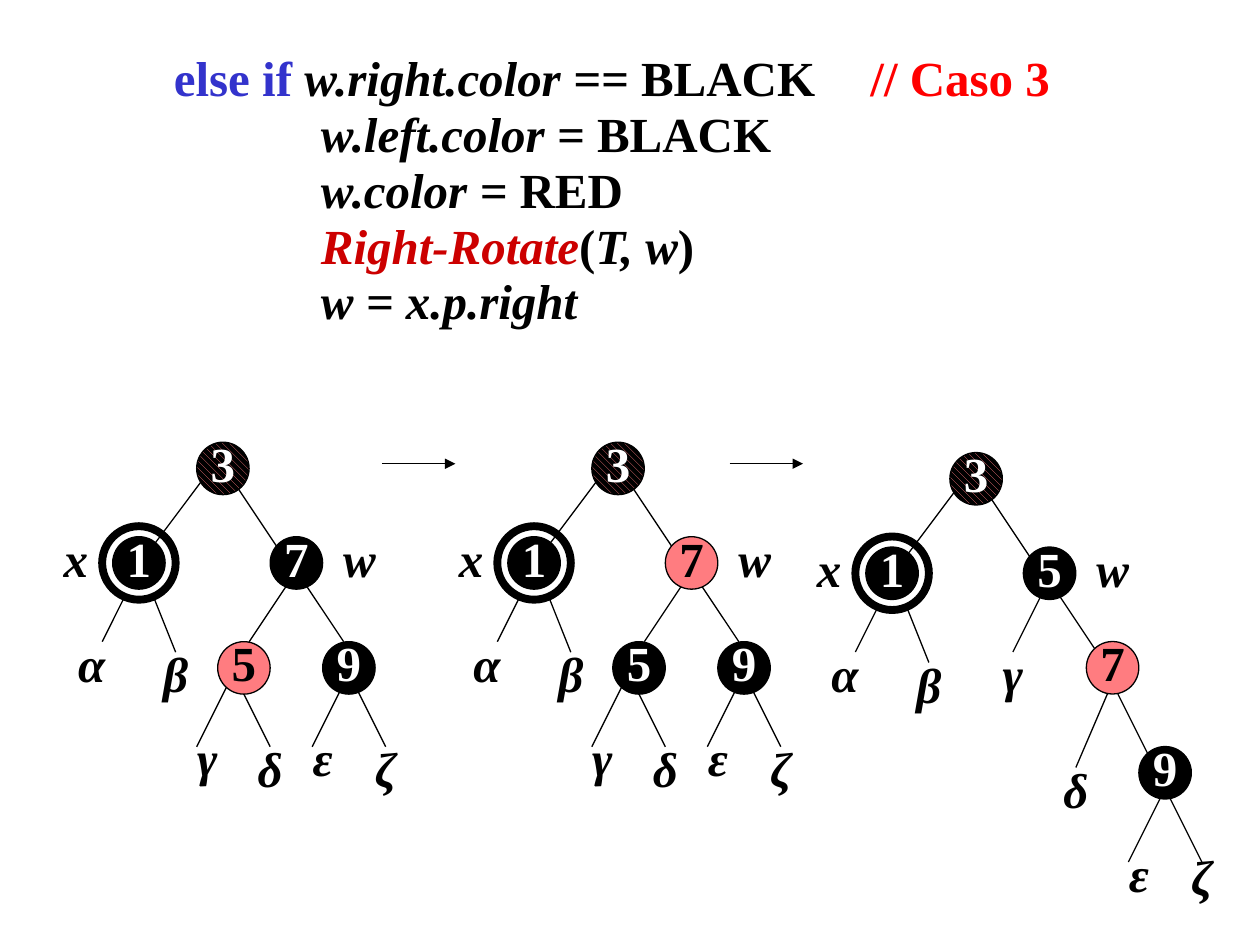
"""Build the slide on case 3 of the red-black tree deletion fix-up."""
import dataclasses

import lxml.etree
import pptx
import pptx.dml.color
import pptx.enum.dml
import pptx.enum.shapes
import pptx.enum.text
import pptx.oxml.ns
import pptx.util

Pt = pptx.util.Pt
qn = pptx.oxml.ns.qn
rgb = pptx.dml.color.RGBColor.from_string


@dataclasses.dataclass(frozen=True)
class Theme:
    font: str = "Times New Roman"
    size: float = 28
    hairline: float = 0.75
    ring_line: float = 4.5
    black: str = "000000"
    white: str = "FFFFFF"
    red_node: str = "FF7C80"
    keyword: str = "3333CC"
    comment: str = "FF0000"
    call: str = "CC0000"


class Slide:
    def __init__(self, prs, theme):
        self.theme = theme
        self.s = prs.slides.add_slide(prs.slide_layouts[6])

    def style(self, r, color, italic=False):
        r.font.name = self.theme.font
        r.font.size = Pt(self.theme.size)
        r.font.bold = True
        r.font.italic = italic
        r.font.color.rgb = rgb(color)

    def centre(self, tf, text, color, italic=False, spacing=1.0):
        tf.text = text
        tf.word_wrap = False
        tf.vertical_anchor = pptx.enum.text.MSO_ANCHOR.MIDDLE
        p = tf.paragraphs[0]
        p.alignment = pptx.enum.text.PP_ALIGN.CENTER
        p.line_spacing = spacing
        self.style(p.runs[0], color, italic)

    def code(self, x, y, w, h, lines, tab):
        tf = self.s.shapes.add_textbox(Pt(x), Pt(y), Pt(w), Pt(h)).text_frame
        tf.word_wrap = True
        for i, (indent, runs) in enumerate(lines):
            p = tf.paragraphs[0] if i == 0 else tf.add_paragraph()
            p.line_spacing = 0.95
            pPr = p._p.get_or_add_pPr()
            pPr.set("marL", "0")
            pPr.set("indent", str(Pt(indent)))
            stops = lxml.etree.SubElement(pPr, qn("a:tabLst"))
            lxml.etree.SubElement(stops, qn("a:tab"), pos=str(Pt(tab)), algn="l")
            for text, color, italic in runs:
                r = p.add_run()
                r.text = text
                self.style(r, color, italic)

    def line(self, x1, y1, x2, y2, arrow=False):
        c = self.s.shapes.add_connector(
            pptx.enum.shapes.MSO_CONNECTOR.STRAIGHT, Pt(x1), Pt(y1), Pt(x2), Pt(y2))
        c.line.color.rgb = rgb(self.theme.black)
        c.line.width = Pt(self.theme.hairline)
        if arrow:
            lxml.etree.SubElement(c.line._get_or_add_ln(), qn("a:tailEnd"), type="triangle")
        lxml.etree.SubElement(c._element.spPr, qn("a:effectLst"))

    def circle(self, cx, cy, d, weight):
        sp = self.s.shapes.add_shape(
            pptx.enum.shapes.MSO_SHAPE.OVAL, Pt(cx - d / 2), Pt(cy - d / 2), Pt(d), Pt(d))
        sp.shadow.inherit = False
        sp.line.color.rgb = rgb(self.theme.black)
        sp.line.width = Pt(weight)
        return sp

    def node(self, cx, cy, key, kind):
        t = self.theme
        sp = self.circle(cx, cy, 30, t.hairline)
        if kind == "either":
            sp.fill.patterned()
            sp.fill.pattern = pptx.enum.dml.MSO_PATTERN.WIDE_DOWNWARD_DIAGONAL
            sp.fill.fore_color.rgb = rgb(t.red_node)
            sp.fill.back_color.rgb = rgb(t.black)
        else:
            sp.fill.solid()
            sp.fill.fore_color.rgb = rgb(t.red_node if kind == "red" else t.black)
        self.centre(sp.text_frame, key, t.black if kind == "red" else t.white, spacing=0.8)

    def ring(self, cx, cy):
        self.circle(cx, cy, 42, self.theme.ring_line).fill.background()

    def label(self, cx, cy, text):
        sp = self.s.shapes.add_textbox(Pt(cx - 24), Pt(cy - 18), Pt(48), Pt(36))
        self.centre(sp.text_frame, text, self.theme.black, italic=True)

    def tree(self, x, y, edges, nodes, labels):
        for x1, y1, x2, y2 in edges:
            self.line(x + x1, y + y1, x + x2, y + y2)
        for dx, dy, key, kind in nodes:
            self.node(x + dx, y + dy, key, kind)
        self.ring(x - 48, y + 54)
        for dx, dy, text in labels:
            self.label(x + dx, y + dy, text)


TOP_EDGES = [(-9, 3, -45, 51), (3, 3, 39, 57), (-57, 75, -69, 99), (-39, 75, -27, 105),
             (45, 63, 69, 99)]
TOP_NODES = [(0, 0, "3", "either"), (-48, 54, "1", "black")]
TOP_LABELS = [(-84, 51, "x"), (78, 51, "w"), (-75, 111, "α"), (-27, 117, "β")]

WIDE_EDGES = TOP_EDGES + [(39, 63, 15, 99), (3, 123, -15, 159), (9, 123, 27, 159),
                          (69, 123, 51, 159), (75, 123, 93, 159)]
WIDE_LABELS = TOP_LABELS + [(-9, 165, "γ"), (27, 171, "δ"), (57, 165, "ε"), (93, 171, "ζ")]

ROTATED_EDGES = TOP_EDGES + [(39, 63, 21, 99), (75, 123, 57, 165), (81, 123, 99, 159),
                             (105, 183, 87, 219), (111, 183, 129, 219)]
ROTATED_NODES = TOP_NODES + [(42, 54, "5", "black"), (78, 108, "7", "red"),
                             (108, 168, "9", "black")]
ROTATED_LABELS = TOP_LABELS + [(21, 111, "γ"), (57, 177, "δ"), (93, 225.5, "ε"),
                               (129, 227, "ζ")]


def wide_nodes(seven, five):
    return TOP_NODES + [(42, 54, "7", seven), (12, 114, "5", five), (72, 114, "9", "black")]


def main():
    prs = pptx.Presentation()
    prs.slide_width, prs.slide_height = Pt(720), Pt(540)
    t = Theme()
    s = Slide(prs, t)
    s.code(22.3, 26, 658, 168.5, [
        (70, [("else if ", t.keyword, False), ("w.right.color == ", t.black, True),
              ("BLACK\t", t.black, False), ("// Caso 3", t.comment, False)]),
        (154, [("w.left.color = ", t.black, True), ("BLACK", t.black, False)]),
        (154, [("w.color = ", t.black, True), ("RED", t.black, False)]),
        (154, [("Right-Rotate", t.call, True), ("(", t.black, False),
               ("T, w", t.black, True), (")", t.black, False)]),
        (154, [("w = x.p.right", t.black, True)]),
    ], tab=471.6)
    s.tree(127.4, 267.7, WIDE_EDGES, wide_nodes("black", "red"), WIDE_LABELS)
    s.tree(353.2, 267.7, WIDE_EDGES, wide_nodes("red", "black"), WIDE_LABELS)
    s.tree(557.8, 273.6, ROTATED_EDGES, ROTATED_NODES, ROTATED_LABELS)
    for x in (218.2, 416.9):
        s.line(x, 265, x + 42, 265, arrow=True)
    prs.save("out.pptx")


if __name__ == "__main__":
    main()
